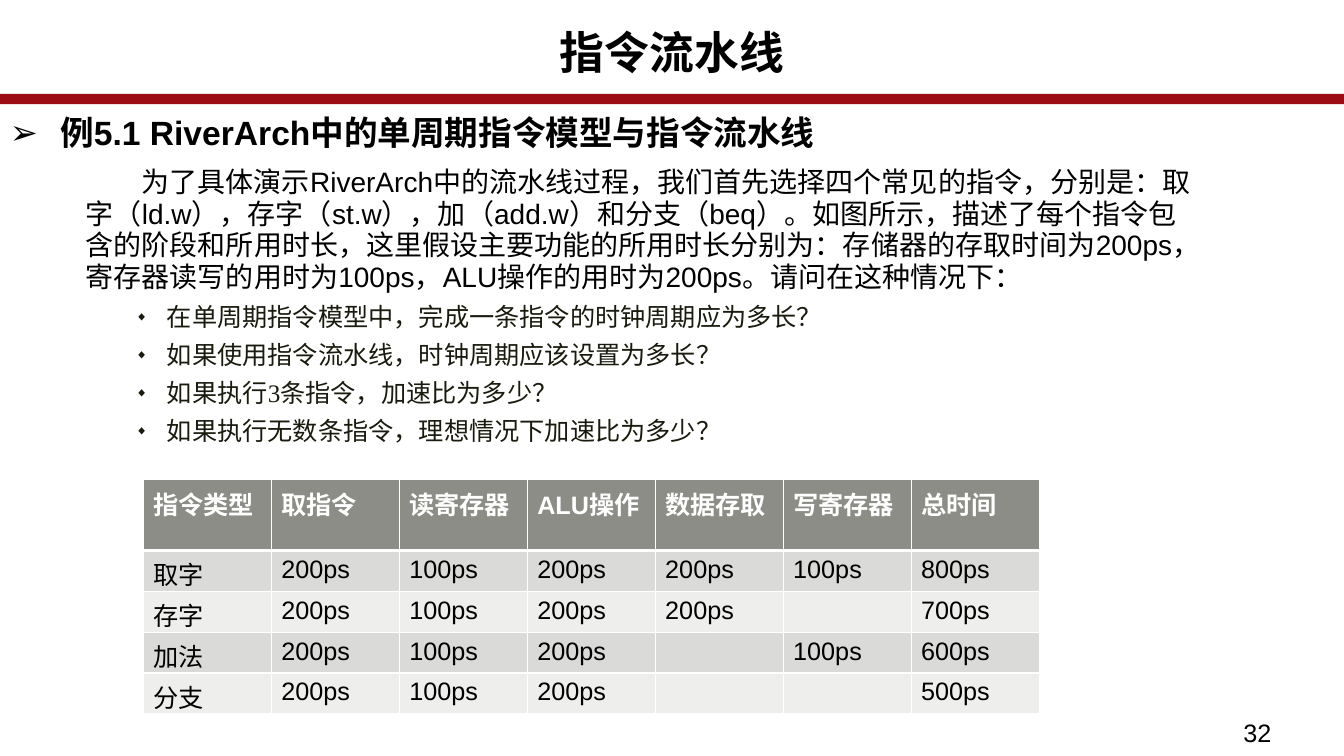
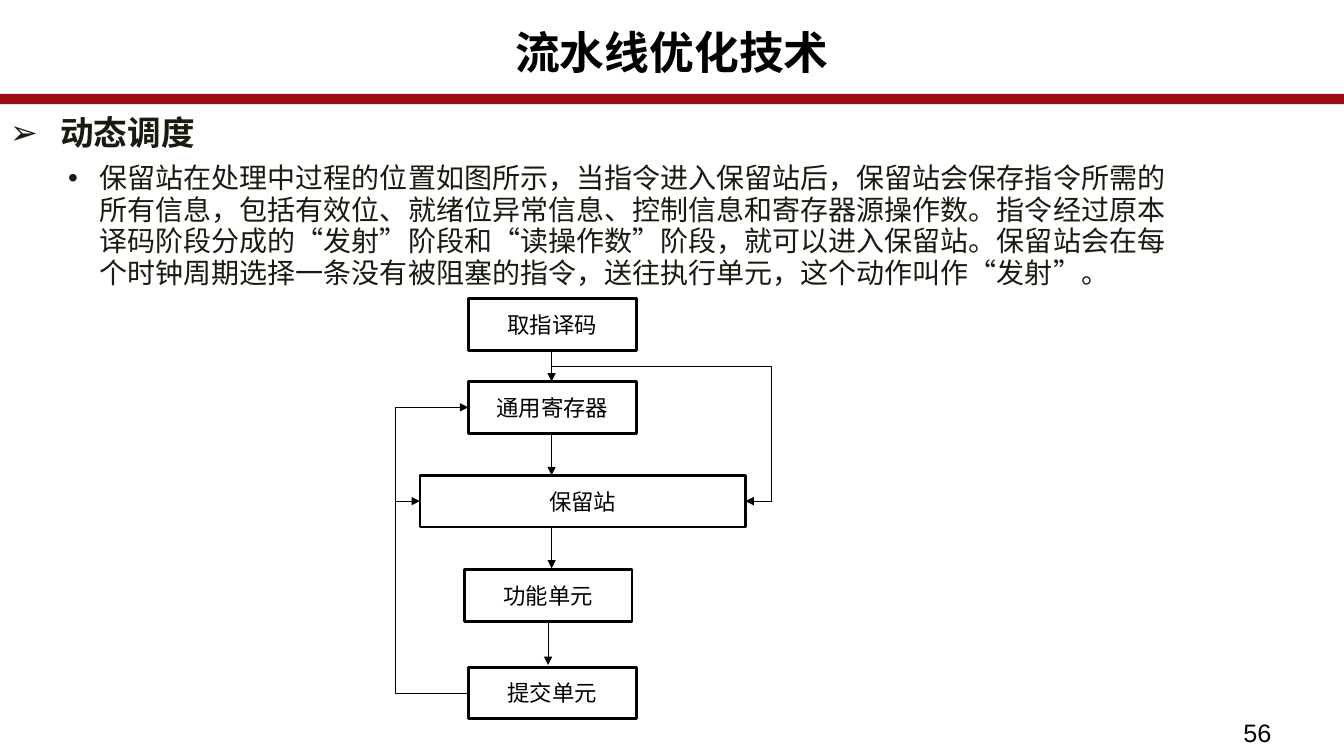
from lxml import etree
from pptx import Presentation
from pptx.dml.color import RGBColor
from pptx.enum import shapes as es, text as et
from pptx.oxml import ns
from pptx.util import Pt

BLACK = RGBColor(0, 0, 0)
WHITE = RGBColor(255, 255, 255)
INK = RGBColor(0x19, 0x1B, 0x0E)
RED = RGBColor(0x9C, 0x0C, 0x15)
HEAD = RGBColor(0x8C, 0x8D, 0x86)
BANDS = (RGBColor(0xDA, 0xDB, 0xD9), RGBColor(0xEE, 0xEE, 0xED))
SANS, SERIF = "Arial", "Times New Roman"
LEFT, RIGHT = 1, 3


def add(root, tag, **attrs):
    return etree.SubElement(root, ns.qn(tag), attrs)


class Deck:
    def __init__(self):
        self.prs = Presentation()
        self.prs.slide_width, self.prs.slide_height = Pt(960), Pt(540)
        self.slide = None

    def page(self, title, num):
        self.slide = self.prs.slides.add_slide(self.prs.slide_layouts[6])
        self.shape(es.MSO_SHAPE.ROUNDED_RECTANGLE, (-0.5, 68.5, 961, 4.5), RED, RED, 2.75)
        frame = self.frame(0, 19, 960, 54)
        para = self.para(frame, title, 32, bold=True, lead=0.89)
        para.alignment = et.PP_ALIGN.CENTER
        self.para(self.frame(881, 509, 79, 32), num, 18)

    def shape(self, kind, box, fill, line, width):
        item = self.slide.shapes.add_shape(kind, *map(Pt, box))
        item.shadow.inherit = False
        item.fill.solid()
        item.fill.fore_color.rgb = fill
        item.line.color.rgb = line
        item.line.width = Pt(width)
        return item

    def frame(self, *box):
        frame = self.slide.shapes.add_textbox(*map(Pt, box)).text_frame
        frame.word_wrap = True
        return frame

    def para(self, frame, words, size, face=SANS, color=BLACK, bold=False,
             lead=None, level=0, left=0, first=0, mark=None, scale=100):
        para = frame.paragraphs[0]
        if para.text:
            para = frame.add_paragraph()
            para.space_before = Pt(5)
        para.text = words
        para.level = level
        if lead:
            para.line_spacing = lead
            para.space_after = Pt(2)
        if left:
            props = para._p.get_or_add_pPr()
            props.set("marL", str(Pt(left)))
            props.set("indent", str(Pt(first)))
            if mark:
                add(props, "a:buSzPct", val=str(scale * 1000))
                add(props, "a:buFont", typeface=SANS)
                add(props, "a:buChar", char=mark)
        font = para.font
        font.name, font.size, font.bold = face, Pt(size), bold
        font.color.rgb = color
        return para

    def topic(self, frame, words, color):
        self.para(frame, words, 24, color=color, bold=True, lead=0.94,
                  left=36, first=-36, mark="➢")

    def table(self, rows, left, top, width, heights):
        count = len(rows[0])
        grid = self.slide.shapes.add_table(
            len(rows), count, Pt(left), Pt(top), Pt(width), Pt(sum(heights))).table
        for col in grid.columns:
            col.width = Pt(width / count)
        for r, row in enumerate(rows):
            grid.rows[r].height = Pt(heights[r])
            for c, words in enumerate(row):
                cell = grid.cell(r, c)
                self.edges(cell, top=3 if r == 1 else 1, base=1 if r else 3)
                cell.fill.solid()
                cell.fill.fore_color.rgb = BANDS[(r - 1) % 2] if r else HEAD
                self.para(cell.text_frame, words, 18,
                          color=BLACK if r else WHITE, bold=r == 0)

    def edges(self, cell, top, base):
        props = cell._tc.get_or_add_tcPr()
        for side, width in zip("LRTB", (1, 1, top, base)):
            line = add(props, "a:ln" + side, w=str(Pt(width)))
            add(add(line, "a:solidFill"), "a:srgbClr", val=str(WHITE))

    def box(self, words, left, top, width=120):
        item = self.shape(es.MSO_SHAPE.RECTANGLE, (left, top, width, 37), WHITE, BLACK, 2)
        frame = item.text_frame
        frame.vertical_anchor = et.MSO_ANCHOR.MIDDLE
        self.para(frame, words, 16).alignment = et.PP_ALIGN.CENTER
        return item

    def arrow(self, start, end, kind=es.MSO_CONNECTOR.STRAIGHT):
        link = self.slide.shapes.add_connector(kind, *map(Pt, start + end))
        link.line.color.rgb = BLACK
        link.line.width = Pt(0.5)
        add(link.line._get_or_add_ln(), "a:tailEnd", type="triangle")
        add(link._element.spPr, "a:effectLst")
        return link

    def bend(self, start, end, via, goal, side):
        link = self.arrow(start, end, es.MSO_CONNECTOR.ELBOW)
        ratio = (via - start[0]) / (end[0] - start[0])
        geom = link._element.spPr.find(ns.qn("a:prstGeom"))
        guides = geom.find(ns.qn("a:avLst"))
        if guides is None:
            guides = add(geom, "a:avLst")
        add(guides, "a:gd", name="adj1", fmla=f"val {round(ratio * 100000)}")
        link.end_connect(goal, side)
        return link


def timing(deck):
    deck.page("指令流水线", "32")
    deck.topic(deck.frame(0, 79, 925, 36),
               "例5.1 RiverArch中的单周期指令模型与指令流水线", BLACK)
    frame = deck.frame(12.2, 116, 853, 215)
    deck.para(frame, "为了具体演示RiverArch中的流水线过程，我们首先选择四个常见的指令，分别是："
              "取字（ld.w），存字（st.w），加（add.w）和分支（beq）。如图所示，描述了每个"
              "指令包含的阶段和所用时长，这里假设主要功能的所用时长分别为：存储器的存取时间为"
              "200ps，寄存器读写的用时为100ps，ALU操作的用时为200ps。请问在这种情况下：",
              20, lead=0.94, level=1, left=42, first=40)
    for words in ("在单周期指令模型中，完成一条指令的时钟周期应为多长？",
                  "如果使用指令流水线，时钟周期应该设置为多长？",
                  "如果执行3条指令，加速比为多少？",
                  "如果执行无数条指令，理想情况下加速比为多少？"):
        deck.para(frame, words, 18, SERIF, INK, lead=0.94, level=2,
                  left=100, first=-22.5, mark="◆", scale=50)
    deck.table([
        ("指令类型", "取指令", "读寄存器", "ALU操作", "数据存取", "写寄存器", "总时间"),
        ("取字", "200ps", "100ps", "200ps", "200ps", "100ps", "800ps"),
        ("存字", "200ps", "100ps", "200ps", "200ps", "", "700ps"),
        ("加法", "200ps", "100ps", "200ps", "", "100ps", "600ps"),
        ("分支", "200ps", "100ps", "200ps", "", "", "500ps"),
    ], 102.3, 342.7, 640, [50] + [29.2] * 4)


def dispatch(deck):
    deck.page("流水线优化技术", "56")
    frame = deck.frame(0, 79, 846, 132)
    deck.topic(frame, "动态调度", INK)
    deck.para(frame, "保留站在处理中过程的位置如图所示，当指令进入保留站后，保留站会保存指令所需的"
              "所有信息，包括有效位、就绪位异常信息、控制信息和寄存器源操作数。指令经过原本"
              "译码阶段分成的“发射”阶段和“读操作数”阶段，就可以进入保留站。保留站会在每"
              "个时钟周期选择一条没有被阻塞的指令，送往执行单元，这个动作叫作“发射”。",
              20, SERIF, INK, lead=0.94, level=1, left=64, first=-22.5, mark="•")
    deck.box("取指译码", 334.5, 213.5)
    regs = deck.box("通用寄存器", 334.5, 272.5)
    hub = deck.box("保留站", 300, 339.5, 232.5)
    deck.box("功能单元", 331.5, 407)
    commit = deck.box("提交单元", 334.5, 476.5)
    for x, top, base in ((394, 250.5, 272.5), (394, 310, 339.5), (394, 376.5, 406), (391.5, 443, 475)):
        deck.arrow((x, top), (x, base))
    back = deck.bend((334.5, 495), (300, 358), 282.5, hub, LEFT)
    back.begin_connect(commit, LEFT)
    deck.bend((282.5, 358), (334.5, 291), 282.5, regs, LEFT)
    deck.bend((394, 261.5), (532.5, 358), 551, hub, RIGHT)


def main():
    deck = Deck()
    timing(deck)
    dispatch(deck)
    deck.prs.save("out.pptx")


if __name__ == "__main__":
    main()
